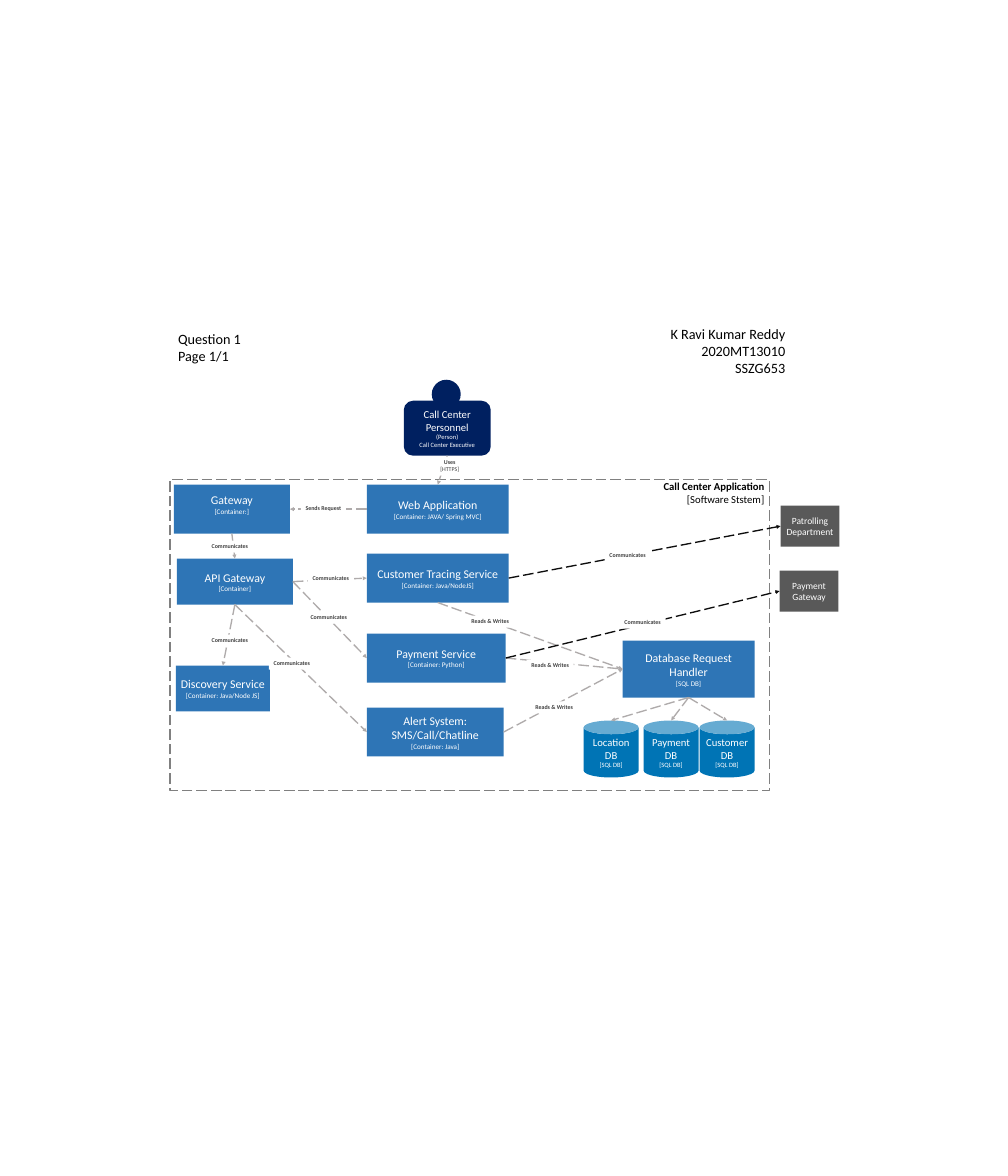
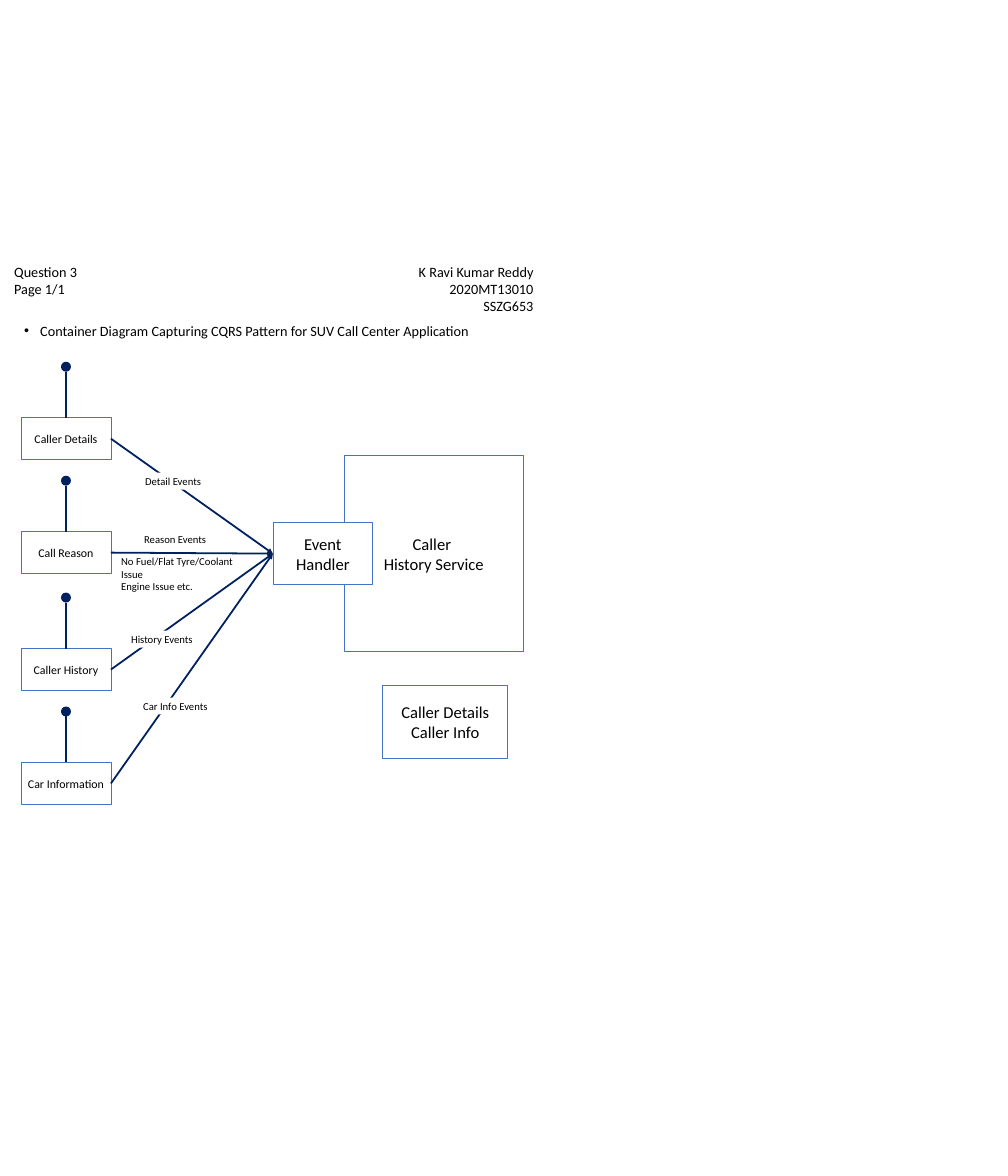
from lxml.etree import SubElement
from pptx import Presentation
from pptx.dml.color import RGBColor
from pptx.enum.dml import MSO_LINE
from pptx.enum.shapes import MSO_CONNECTOR, MSO_SHAPE
from pptx.enum.text import MSO_ANCHOR, MSO_AUTO_SIZE, PP_ALIGN
from pptx.oxml.ns import qn
from pptx.util import Inches, Pt

PIXEL = 914400 / 42.7
FONT = "Calibri"
COLORS = {
    "white": "FFFFFF", "black": "000000", "navy": "002060", "container": "2E75B6",
    "external": "595959", "database": "0074B5", "boundary": "808080",
    "flow": "AFABAB", "outside": "0D0D0D", "label": "404040", "outline": "4472C4",
}
TOP, LEFT, BOTTOM, RIGHT = range(4)
SQL = "[SQL DB]"


def emu(pixels):
    """Turn pixels into EMU."""
    return round(pixels * PIXEL)


def color(name):
    """Look up a named colour."""
    return RGBColor.from_string(COLORS[name])


def site(shape, side):
    """Return the middle of one side of a shape, in EMU."""
    x = shape.left + shape.width * {LEFT: 0, RIGHT: 1}.get(side, 0.5)
    y = shape.top + shape.height * {TOP: 0, BOTTOM: 1}.get(side, 0.5)
    return round(x), round(y)


def can_glue(shape):
    """Tell whether a shape has the four plain connection sites."""
    return shape.auto_shape_type not in (MSO_SHAPE.CAN, MSO_SHAPE.OVAL)


class Deck:
    """The shared style and the slide being drawn."""

    def __init__(self):
        """Start an empty presentation of the right size."""
        self.presentation = Presentation()
        self.presentation.slide_width = Inches(23.62)
        self.presentation.slide_height = Inches(27.56)
        self.slide = None

    def new_slide(self):
        """Start a blank slide."""
        layout = self.presentation.slide_layouts[6]
        self.slide = self.presentation.slides.add_slide(layout)

    def add_lines(self, shape, lines, ink, align=PP_ALIGN.CENTER):
        """Put (text, size, bold) lines into a shape as paragraphs."""
        frame = shape.text_frame
        for index, (text, size, bold) in enumerate(lines):
            paragraph = frame.paragraphs[0] if index == 0 else frame.add_paragraph()
            paragraph.alignment = align
            for part, words in enumerate(text.split("\n")):
                if part:
                    paragraph.add_line_break()
                run = paragraph.add_run()
                run.text = words
                run.font.name = FONT
                run.font.size = Pt(size)
                run.font.bold = bold
                run.font.color.rgb = color(ink)

    def shape(self, kind, box, fill=None, line=None, weight=1, dashed=False):
        """Add a preset shape with optional fill and outline."""
        shape = self.slide.shapes.add_shape(kind, *map(emu, box))
        shape.shadow.inherit = False
        if fill:
            shape.fill.solid()
            shape.fill.fore_color.rgb = color(fill)
        else:
            shape.fill.background()
        if line:
            shape.line.color.rgb = color(line)
            shape.line.width = Pt(weight)
            if dashed:
                shape.line.dash_style = MSO_LINE.LONG_DASH
        else:
            shape.line.fill.background()
        shape.text_frame.word_wrap = True
        shape.text_frame.vertical_anchor = MSO_ANCHOR.MIDDLE
        return shape

    def node(self, box, title, detail=None, fill="container", sizes=(20, 12),
             kind=MSO_SHAPE.RECTANGLE):
        """Add a filled box with a title and smaller detail lines."""
        shape = self.shape(kind, box, fill)
        lines = [(title, sizes[0], False)]
        if detail:
            lines += [(text, sizes[1], False) for text in detail.split("|")]
        self.add_lines(shape, lines, "white")
        return shape

    def outlined(self, box, lines, size, fill=None):
        """Add a thin outlined box with black text."""
        shape = self.shape(MSO_SHAPE.RECTANGLE, box, fill, "outline")
        self.add_lines(shape, [(text, size, False) for text in lines], "black")
        return shape

    def label(self, box, lines, ink="label", align=PP_ALIGN.CENTER, wrap=False):
        """Add a white label that sits over a line."""
        shape = self.shape(MSO_SHAPE.RECTANGLE, box, "white")
        shape.text_frame.vertical_anchor = MSO_ANCHOR.TOP
        shape.text_frame.word_wrap = wrap
        shape.text_frame.auto_size = MSO_AUTO_SIZE.SHAPE_TO_FIT_TEXT
        self.add_lines(shape, lines, ink, align)

    def text(self, box, lines, align=PP_ALIGN.LEFT, wrap=False):
        """Add a plain text box."""
        shape = self.slide.shapes.add_textbox(*map(emu, box))
        shape.text_frame.word_wrap = wrap
        shape.text_frame.auto_size = MSO_AUTO_SIZE.SHAPE_TO_FIT_TEXT
        self.add_lines(shape, lines, "black", align)
        return shape

    def bullet(self, box, words):
        """Add one bulleted line."""
        shape = self.text(box, [(words, 24, False)])
        properties = shape.text_frame.paragraphs[0]._p.get_or_add_pPr()
        properties.set("marL", str(emu(16)))
        properties.set("indent", str(-emu(16)))
        SubElement(properties, qn("a:buFont"), typeface="Arial")
        SubElement(properties, qn("a:buChar"), char="•")

    def link(self, start, start_side, end, end_side, ink="flow", weight=2.25,
             dashed=True, arrow=True):
        """Join two shapes with a straight line."""
        connector = self.slide.shapes.add_connector(
            MSO_CONNECTOR.STRAIGHT, *site(start, start_side), *site(end, end_side))
        if can_glue(start):
            connector.begin_connect(start, start_side)
        if can_glue(end):
            connector.end_connect(end, end_side)
        connector.line.color.rgb = color(ink)
        connector.line.width = Pt(weight)
        if dashed:
            connector.line.dash_style = MSO_LINE.LONG_DASH
        properties = connector.element.spPr
        if arrow:
            SubElement(properties.find(qn("a:ln")), qn("a:tailEnd"), type="triangle")
        SubElement(properties, qn("a:effectLst"))

    def header(self, question, left, top, right, right_top):
        """Add the question block and the author block."""
        self.text((left, top, 72, 39),
                  [(question, 24, False), ("Page 1/1", 24, False)])
        author = ("K Ravi Kumar Reddy", "2020MT13010", "SSZG653")
        self.text((right, right_top, 125, 56),
                  [(words, 24, False) for words in author], PP_ALIGN.RIGHT)


def container_slide(deck):
    """Draw the call center container diagram."""
    deck.new_slide()
    deck.shape(MSO_SHAPE.RECTANGLE, (170, 480, 600, 311), line="boundary",
               weight=2.25, dashed=True)
    deck.shape(MSO_SHAPE.OVAL, (432, 380, 29, 29), "navy")
    person = deck.node((404, 401, 87, 55), "Call Center Personnel",
                       "(Person)|Call Center Executive", "navy", (18, 11),
                       MSO_SHAPE.ROUNDED_RECTANGLE)

    gateway = deck.node((174, 485, 116, 49), "Gateway", "[Container:]")
    gateway.text_frame.margin_bottom = emu(12)
    api = deck.node((177, 559, 116, 46), "API Gateway", "[Container]")
    discovery = deck.node((176, 666, 94, 46), "Discovery Service",
                          "[Container: Java/Node JS]")
    web = deck.node((367, 485, 142, 49), "Web Application",
                    "[Container: JAVA/ Spring MVC]")
    tracing = deck.node((367, 554, 142, 49), "Customer Tracing Service",
                        "[Container: Java/NodeJS]")
    payment = deck.node((367, 634, 139, 49), "Payment Service", "[Container: Python]")
    alert = deck.node((367, 708, 137, 49), "Alert System: SMS/Call/Chatline",
                      "[Container: Java]")
    handler = deck.node((623, 641, 132, 57), "Database Request Handler", SQL)
    patrol = deck.node((781, 506, 59, 41), "Patrolling Department",
                       fill="external", sizes=(16,))
    payment_gateway = deck.node((780, 571, 59, 41), "Payment Gateway",
                                fill="external", sizes=(16,))
    for left, name in ((584, "Location"), (644, "Payment"), (700, "Customer")):
        database = deck.node((left, 721, 55, 57), name + " DB", SQL,
                             "database", (18, 11), MSO_SHAPE.CAN)
        deck.link(handler, BOTTOM, database, TOP)

    for start, start_side, end, end_side in (
        (person, BOTTOM, web, TOP),
        (web, LEFT, gateway, RIGHT),
        (gateway, BOTTOM, api, TOP),
        (api, RIGHT, tracing, LEFT),
        (api, RIGHT, payment, LEFT),
        (api, BOTTOM, alert, LEFT),
        (api, BOTTOM, discovery, TOP),
        (tracing, BOTTOM, handler, LEFT),
        (payment, RIGHT, handler, LEFT),
        (alert, RIGHT, handler, LEFT),
    ):
        deck.link(start, start_side, end, end_side)
    deck.link(tracing, RIGHT, patrol, LEFT, "outside")
    deck.link(payment, RIGHT, payment_gateway, LEFT, "outside")

    deck.label((432, 457, 36, 19), [("Uses", 10, True), ("[HTTPS]", 10, False)],
               wrap=True)
    labels = {
        "Sends Request": (45, [(301, 503)]),
        "Communicates": (46, [(207, 541), (207, 635), (269, 658), (308, 573),
                              (306, 612), (605, 550), (620, 617)]),
        "Reads & Writes": (47, [(467, 616), (527, 660), (531, 702)]),
    }
    for words, (width, places) in labels.items():
        for left, top in places:
            deck.label((left, top, width, 12), [(words, 10, True)])

    deck.text((659, 478, 110, 30), [("Call Center Application", 18, True),
                                    ("[Software Ststem]", 18, False)], PP_ALIGN.RIGHT)
    deck.header("Question 1", 174, 328, 665, 323)


def event_slide(deck):
    """Draw the event sources feeding the caller history service."""
    deck.new_slide()
    deck.header("Question 3", 10, 261, 413, 261)
    deck.bullet((20, 320, 462, 21),
                "Container Diagram Capturing CQRS Pattern for SUV Call Center Application")

    deck.outlined((344, 456, 180, 196), ["Caller \nHistory Service"], 28)
    deck.outlined((383, 686, 125, 73), ["Caller Details", "Caller Info"], 28)
    handler = deck.outlined((273, 523, 100, 62), ["Event Handler"], 28, "white")

    sources = ((418, "Caller Details"), (532, "Call Reason"),
               (649, "Caller History"), (763, "Car Information"))
    for top, name in sources:
        dot = deck.shape(MSO_SHAPE.OVAL, (61, top - 56, 10, 10), "navy")
        source = deck.outlined((21, top, 90, 42), [name], 20)
        deck.link(dot, BOTTOM, source, TOP, "navy", 3, False, False)
        deck.link(source, RIGHT, handler, LEFT, "navy", 3, False)

    for left, top, width, words in (
        (141, 473, 65, "Detail Events"), (140, 531, 71, "Reason Events"),
        (127, 631, 71, "History Events"), (139, 698, 74, "Car Info Events"),
    ):
        deck.label((left, top, width, 17), [(words, 18, False)], "black", PP_ALIGN.LEFT)
    deck.text((117, 553, 125, 43),
              [("No Fuel/Flat Tyre/Coolant Issue\nEngine Issue etc.", 18, False)],
              wrap=True)


deck = Deck()
container_slide(deck)
event_slide(deck)
deck.presentation.save("out.pptx")
